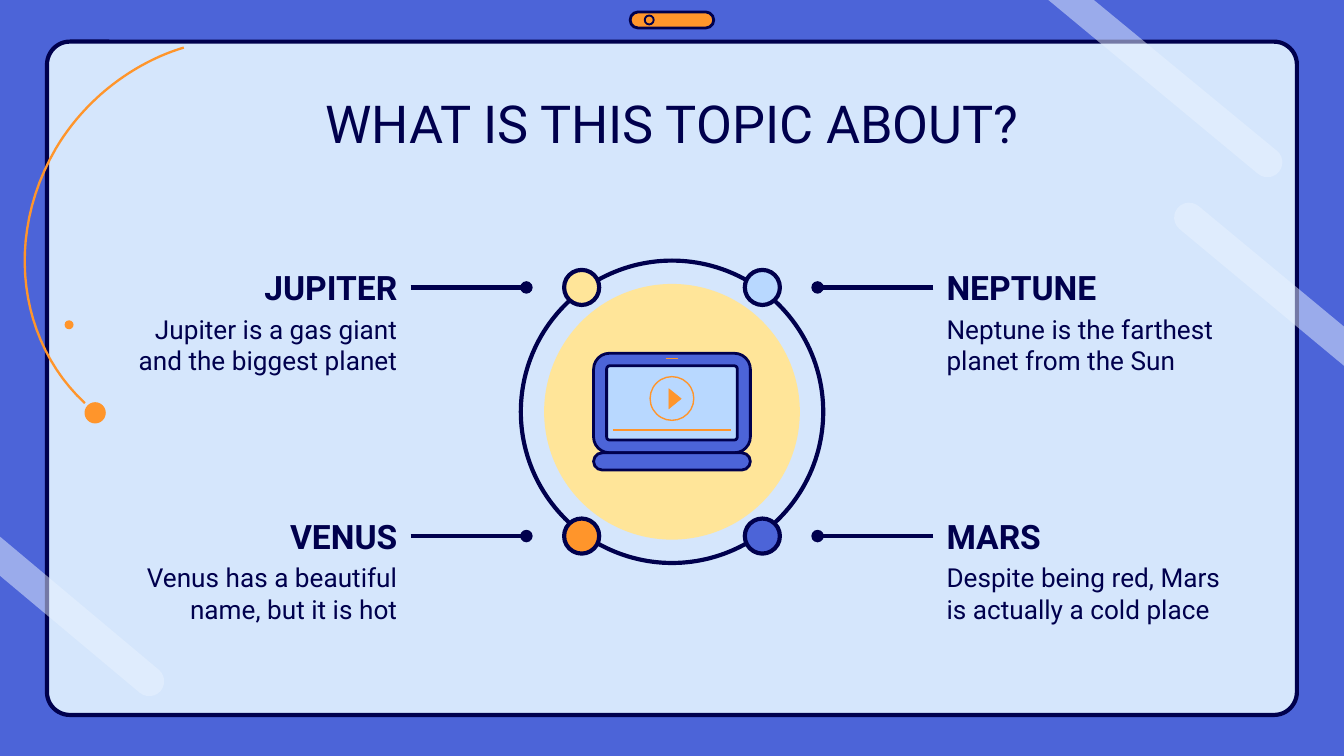
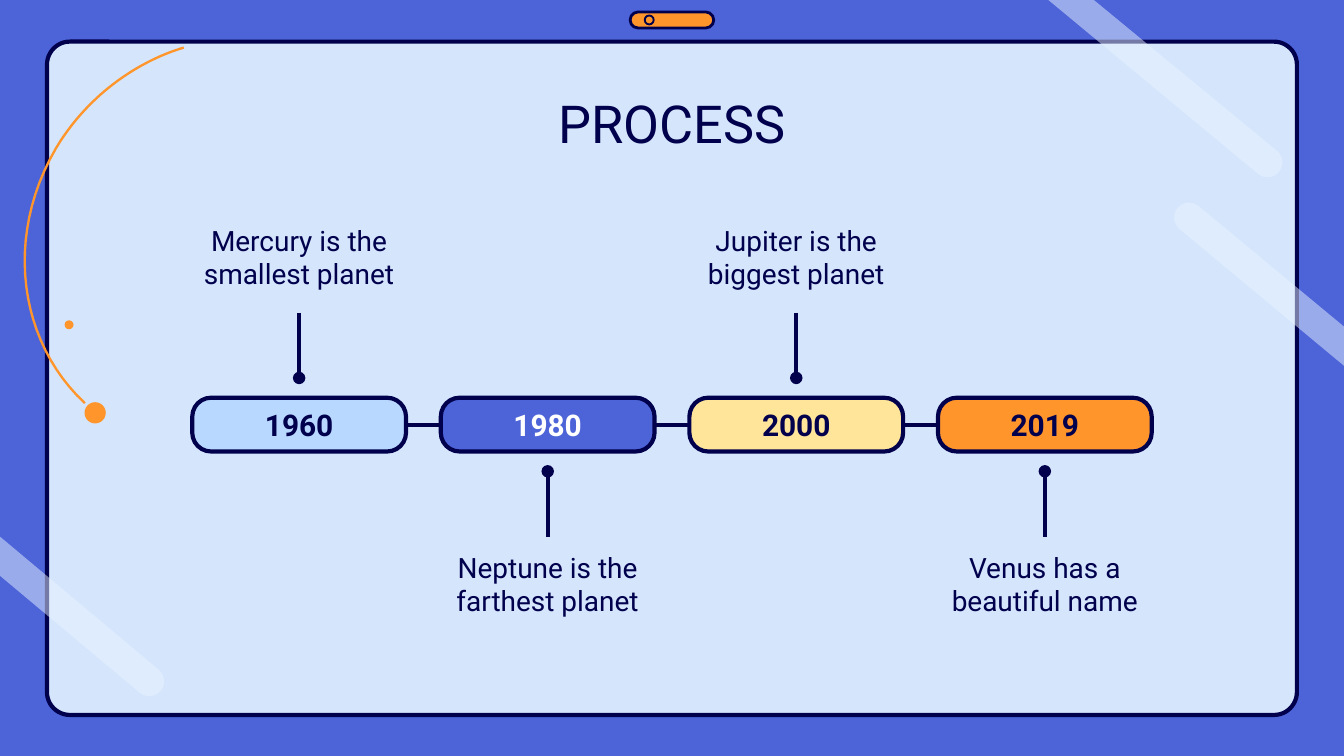
from math import atan2, cos, pi, sin

from lxml.etree import SubElement as Sub
from pptx import Presentation
from pptx.dml.color import RGBColor
from pptx.enum.shapes import MSO_CONNECTOR as Link, MSO_SHAPE as Kind
from pptx.enum.text import MSO_ANCHOR as Anchor, MSO_AUTO_SIZE as Auto, PP_ALIGN as Align
from pptx.oxml.ns import qn
from pptx.util import Pt

WIDE, HIGH = 720, 405
FONT = "Roboto"
NAVY, BLUE, SKY, PALE = "00004D", "4C64D8", "B8D8FF", "D5E6FC"
GOLD, AMBER, MIST, WHITE = "FFE599", "FF952B", "E9F3FF", "FFFFFF"


# Basic parts
def tint(code):
    return RGBColor.from_string(code)


def paint(shape, fill=None, line=None, width=2.25):
    shape.shadow.inherit = False
    if fill:
        shape.fill.solid()
        shape.fill.fore_color.rgb = tint(fill)
    else:
        shape.fill.background()
    if line:
        shape.line.color.rgb = tint(line)
        shape.line.width = Pt(width)
    else:
        shape.line.fill.background()
    return shape


def block(slide, kind, box, fill=None, line=None, width=2.25, curve=None):
    shape = slide.shapes.add_shape(kind, *map(Pt, box))
    if curve is not None:
        shape.adjustments[0] = curve
    return paint(shape, fill, line, width)


def disc(slide, x, y, r, fill=None, line=None, width=2.25):
    return block(slide, Kind.OVAL, (x - r, y - r, 2 * r, 2 * r), fill, line, width)


def outline(slide, points, close=True):
    first, *rest = [(Pt(x), Pt(y)) for x, y in points]
    maker = slide.shapes.build_freeform(*first)
    maker.add_line_segments(rest, close=close)
    return maker.convert_to_shape()


def rule(slide, start, end, color=NAVY, width=2.25, dot=False):
    line = slide.shapes.add_connector(Link.STRAIGHT, *map(Pt, (*start, *end)))
    line.line.color.rgb = tint(color)
    line.line.width = Pt(width)
    if dot:
        Sub(line.line._get_or_add_ln(), qn("a:tailEnd"), type="oval")
    Sub(line.element.spPr, qn("a:effectLst"))


def write(shape, text, size, align=Align.CENTER, bold=False, color=NAVY, anchor=Anchor.MIDDLE):
    frame = shape.text_frame
    frame.text = text
    frame.word_wrap = True
    frame.auto_size = Auto.NONE
    frame.vertical_anchor = anchor
    frame.margin_left = frame.margin_right = Pt(7.2)
    frame.margin_top = frame.margin_bottom = Pt(7.2)
    para = frame.paragraphs[0]
    para.alignment = align
    font = para.runs[0].font
    font.name, font.size, font.bold = FONT, Pt(size), bold
    font.color.rgb = tint(color)


def label(slide, box, text, size, **style):
    write(slide.shapes.add_textbox(*map(Pt, box)), text, size, **style)


# Shared frame
def bend(a, b, c, d, steps=24):
    """Points along a cubic curve."""
    for i in range(steps + 1):
        t = i / steps
        parts = ((1 - t) ** 3, 3 * t * (1 - t) ** 2, 3 * t * t * (1 - t), t ** 3)
        yield tuple(sum(k * p[n] for k, p in zip(parts, (a, b, c, d))) for n in (0, 1))


def streak(slide, near, far, tip, r=8):
    """Clear band from an edge of the slide to a round tip."""
    head = atan2(tip[1] - (near[1] + far[1]) / 2, tip[0] - (near[0] + far[0]) / 2)
    turns = [head - pi / 2 + pi * i / 12 for i in range(13)]
    cap = [(tip[0] + r * cos(t), tip[1] + r * sin(t)) for t in turns]
    shape = paint(outline(slide, [near, *cap, far]), MIST)
    color = shape.element.spPr.find(qn("a:solidFill"))[0]
    Sub(color, qn("a:alpha"), val="50000")


def camera(slide, box):
    x, y, w, h = box
    block(slide, Kind.ROUNDED_RECTANGLE, box, AMBER, NAVY, 1.5, 0.5)
    disc(slide, x + 10.2, y + h / 2, 2.4, None, NAVY, 1)


def orbit(slide, box):
    x, y = box[:2]
    mid = (x + 17, y + 54)
    low = bend((x + 32.5, y + 190.5), (x - 2.5, y + 158), (x - 11, y + 102), mid)
    top = bend(mid, (x + 33, y + 27), (x + 59, y + 8), (x + 85.5, y))
    paint(outline(slide, [*low, *list(top)[1:]], close=False), None, AMBER, 1.25)
    disc(slide, x + 24, y + 148.5, 2.4, AMBER)
    disc(slide, x + 38, y + 195.7, 5.7, AMBER)


def frame(slide, box, text):
    x, y, w, h = box
    slide.background.fill.solid()
    slide.background.fill.fore_color.rgb = tint(BLUE)
    block(slide, Kind.ROUNDED_RECTANGLE, (x + 25.2, y + 22.3, w - 50.4, h - 44.3),
          PALE, NAVY, curve=0.034)
    camera(slide, (x + w / 2 - 22.4, y + 6.4, 44.8, 8.6))
    orbit(slide, (x + 13, y + 25.5))
    for near, far, tip in (
        ((586, 0), (561.6, 0), (679, 87)),
        ((0, 287.5), (0, 308.5), (80, 365)),
        ((WIDE, 196), (WIDE, 175), (637, 116.6)),
    ):
        streak(slide, near, far, tip)
    title = slide.shapes.title
    title.left, title.top, title.width, title.height = map(Pt, (x + 57, y + 41.8, w - 114, 45))
    write(title, text, 28, anchor=Anchor.TOP)
    # Bring the title in front of the card
    slide.shapes.element.append(title.element)


# Topic slide
def laptop(slide, box):
    x, y, w, h = box
    mid = x + w / 2
    block(slide, Kind.ROUNDED_RECTANGLE, (x, y, w, 53.3), BLUE, NAVY, 1.5, 0.16)
    block(slide, Kind.ROUNDED_RECTANGLE, (x + 7, y + 6.7, w - 14, 39.8), SKY, NAVY, 1.5, 0.04)
    disc(slide, mid, y + 24.2, 11.7, None, AMBER, 0.75)
    play = [(mid - 1.7, y + 18.9), (mid - 1.7, y + 29.7), (mid + 5, y + 24.3)]
    paint(outline(slide, play), AMBER, AMBER, 0.25)
    for half, drop in ((31.7, 41), (3.4, 2.9)):
        rule(slide, (mid - half, y + drop), (mid + half, y + drop), AMBER, 0.75)
    block(slide, Kind.ROUNDED_RECTANGLE, (x, y + 53.3, w, h - 53.3), BLUE, NAVY, 1.5, 0.5)


def note(slide, box, side, name, text):
    """Head and text; side is -1 left of the hub, 1 right of it."""
    x, y, w, h = box
    align = Align.RIGHT if side < 0 else Align.LEFT
    label(slide, (x, y + 21, w, h - 21), text, 14, align=align)
    label(slide, (x, y, w, 28), name, 18, align=align, bold=True)
    edge = x + w if side < 0 else x
    rule(slide, (edge, y + 14), (edge - side * 62, y + 14), dot=True)


def topic(slide, box, notes):
    x, y, w, h = box
    mid, cy = x + w / 2, y + h / 2
    disc(slide, mid, cy, 68.5, GOLD)
    disc(slide, mid, cy, 81, None, NAVY)
    laptop(slide, (mid - 42, cy - 31.3, 84, 62.5))
    for i, (name, text, color) in enumerate(notes):
        side = -1 if i % 2 == 0 else 1
        row = cy + (-66.6 if i < 2 else 66.6)
        left = x if side < 0 else x + w - 163
        note(slide, (left, row - 14, 163, 68), side, name, text)
        disc(slide, mid + side * 48.4, row, 9.4, color, NAVY)


# Process slide
def process(slide, box, steps):
    x, y, w, h = box
    cy, wide = y + h / 2, 114.5
    pitch = (w - wide) / (len(steps) - 1)
    rule(slide, (x + wide, cy), (x + w, cy))
    for i, (year, text, fill, ink) in enumerate(steps):
        left = x + i * pitch
        mid = left + wide / 2
        way = -1 if i % 2 == 0 else 1
        rule(slide, (mid, cy + way * 60), (mid, cy + way * 25), dot=True)
        step = block(slide, Kind.ROUNDED_RECTANGLE, (left, cy - 14.4, wide, 28.8),
                     fill, NAVY, curve=0.35)
        write(step, year, 16, bold=True, color=ink)
        top = y if way < 0 else cy + 60
        label(slide, (mid - 71.6, top, 143.2, h / 2 - 60), text, 15, anchor=Anchor.TOP)


NOTES = (
    ("JUPITER", "Jupiter is a gas giant and the biggest planet", GOLD),
    ("NEPTUNE", "Neptune is the farthest planet from the Sun", SKY),
    ("VENUS", "Venus has a beautiful name, but it is hot", AMBER),
    ("MARS", "Despite being red, Mars is actually a cold place", BLUE),
)
STEPS = (
    ("1960", "Mercury is the smallest planet", SKY, NAVY),
    ("1980", "Neptune is the farthest planet", BLUE, WHITE),
    ("2000", "Jupiter is the biggest planet", GOLD, NAVY),
    ("2019", "Venus has a beautiful name", AMBER, NAVY),
)


def main():
    deck = Presentation()
    deck.slide_width, deck.slide_height = Pt(WIDE), Pt(HIGH)
    for title, build, box, items in (
        ("WHAT IS THIS TOPIC ABOUT?", topic, (57, 139.6, 606, 162), NOTES),
        ("PROCESS", process, (103, 112.5, 514, 230), STEPS),
    ):
        slide = deck.slides.add_slide(deck.slide_layouts[5])
        frame(slide, (0, 0, WIDE, HIGH), title)
        build(slide, box, items)
    deck.save("out.pptx")


if __name__ == "__main__":
    main()
